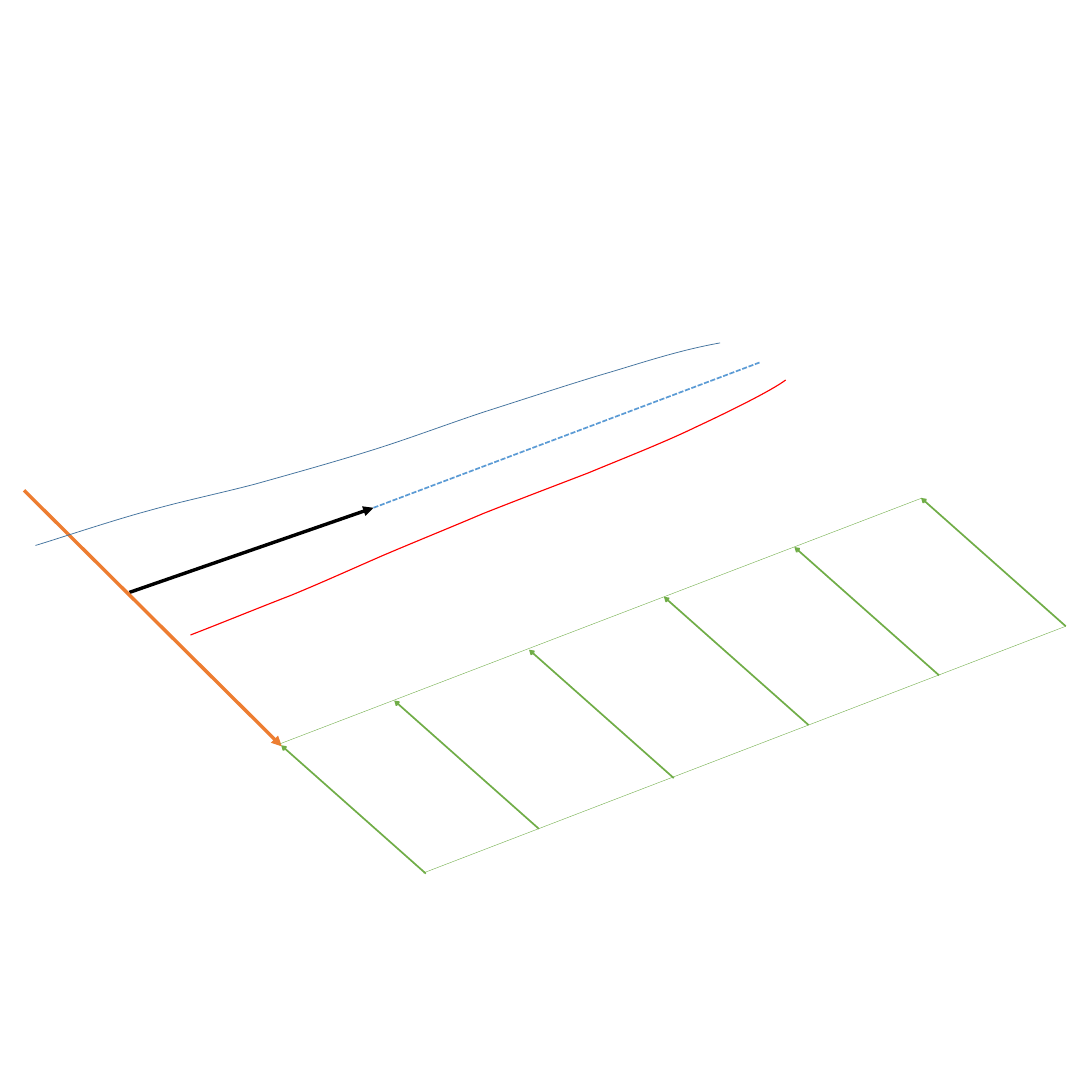
"""Draw a guide path, its two bounds and a ladder of parallel arrows."""
from typing import NamedTuple, Optional

from lxml import etree
from pptx import Presentation
from pptx.dml.color import RGBColor
from pptx.enum.dml import MSO_LINE
from pptx.enum.shapes import MSO_CONNECTOR
from pptx.oxml.ns import qn
from pptx.shapes.shapetree import SlideShapes
from pptx.util import Emu, Pt

PX = 9144
SIDE = 2000
STRAIGHT = MSO_CONNECTOR.STRAIGHT
DASH = MSO_LINE.SQUARE_DOT

BLACK = RGBColor(0x00, 0x00, 0x00)
ORANGE = RGBColor(0xED, 0x7D, 0x31)
GREEN = RGBColor(0x70, 0xAD, 0x47)
BLUE = RGBColor(0x5B, 0x9B, 0xD5)
NAVY = RGBColor(0x43, 0x73, 0x9E)
RED = RGBColor(0xFF, 0x00, 0x00)

Point = tuple[int, int]


class Line(NamedTuple):
    start: Point
    end: Point
    color: RGBColor
    width: float
    head: Optional[str] = None
    dash: Optional[MSO_LINE] = None


class Curve(NamedTuple):
    start: Point
    points: list[Point]
    color: RGBColor
    width: float


RUNG = (-265, -235)
FEET = [(780, 1600), (987, 1518), (1234, 1425),
        (1481, 1328), (1720, 1237), (1952, 1147)]

LINES = [
    Line((237, 1085), (684, 930), BLACK, 4.5, "triangle"),
    Line((44, 898), (516, 1367), ORANGE, 4.5, "triangle"),
    Line((684, 930), (1391, 664), BLUE, 2.25, dash=DASH),
    Line((1689, 912), (511, 1363), GREEN, 0.5),
    Line((1952, 1147), (775, 1599), GREEN, 0.5),
] + [Line((x, y), (x + RUNG[0], y + RUNG[1]), GREEN, 2.25, "arrow")
     for x, y in FEET]

CURVES = [
    Curve((349, 1163), [
        (411, 1139), (472, 1114), (534, 1090),
        (592, 1066), (645, 1042), (700, 1018),
        (761, 992), (823, 967), (884, 941),
        (947, 916), (1013, 891), (1078, 866),
        (1143, 839), (1215, 811), (1275, 782),
        (1335, 754), (1414, 715), (1439, 696)], RED, 1.5),
    Curve((65, 999), [
        (99, 989), (203, 954), (270, 936),
        (337, 917), (397, 905), (466, 887),
        (534, 868), (613, 846), (683, 824),
        (753, 802), (816, 778), (885, 755),
        (954, 733), (1024, 710), (1096, 688),
        (1169, 667), (1236, 643), (1319, 628)], NAVY, 1),
]


def draw_line(shapes: SlideShapes, item: Line) -> None:
    """Add a straight line with its dash and arrowhead."""
    ends = [Emu(n * PX) for n in item.start + item.end]
    shape = shapes.add_connector(STRAIGHT, *ends)
    shape.line.color.rgb = item.color
    shape.line.width = Pt(item.width)
    if item.dash is not None:
        shape.line.dash_style = item.dash
    props = shape._element.spPr
    if item.head:
        etree.SubElement(props.find(qn("a:ln")), qn("a:tailEnd"), type=item.head)
    etree.SubElement(props, qn("a:effectLst"))


def draw_curve(shapes: SlideShapes, item: Curve) -> None:
    """Add an open outline and turn each three points into a Bézier."""
    pen = shapes.build_freeform(*item.start, scale=PX)
    pen.add_line_segments(item.points, close=False)
    shape = pen.convert_to_shape()
    shape.shadow.inherit = False
    shape.fill.background()
    shape.line.color.rgb = item.color
    shape.line.width = Pt(item.width)
    trace = next(shape._element.iter(qn("a:path")))
    steps = trace.findall(qn("a:lnTo"))
    for i in range(0, len(steps), 3):
        bend = etree.SubElement(trace, qn("a:cubicBezTo"))
        for step in steps[i:i + 3]:
            bend.append(step[0])
            trace.remove(step)


def main() -> None:
    """Build the slide and save it."""
    deck = Presentation()
    deck.slide_width = deck.slide_height = Emu(SIDE * PX)
    shapes = deck.slides.add_slide(deck.slide_layouts[6]).shapes
    for line in LINES:
        draw_line(shapes, line)
    for curve in CURVES:
        draw_curve(shapes, curve)
    deck.save("out.pptx")


if __name__ == "__main__":
    main()
